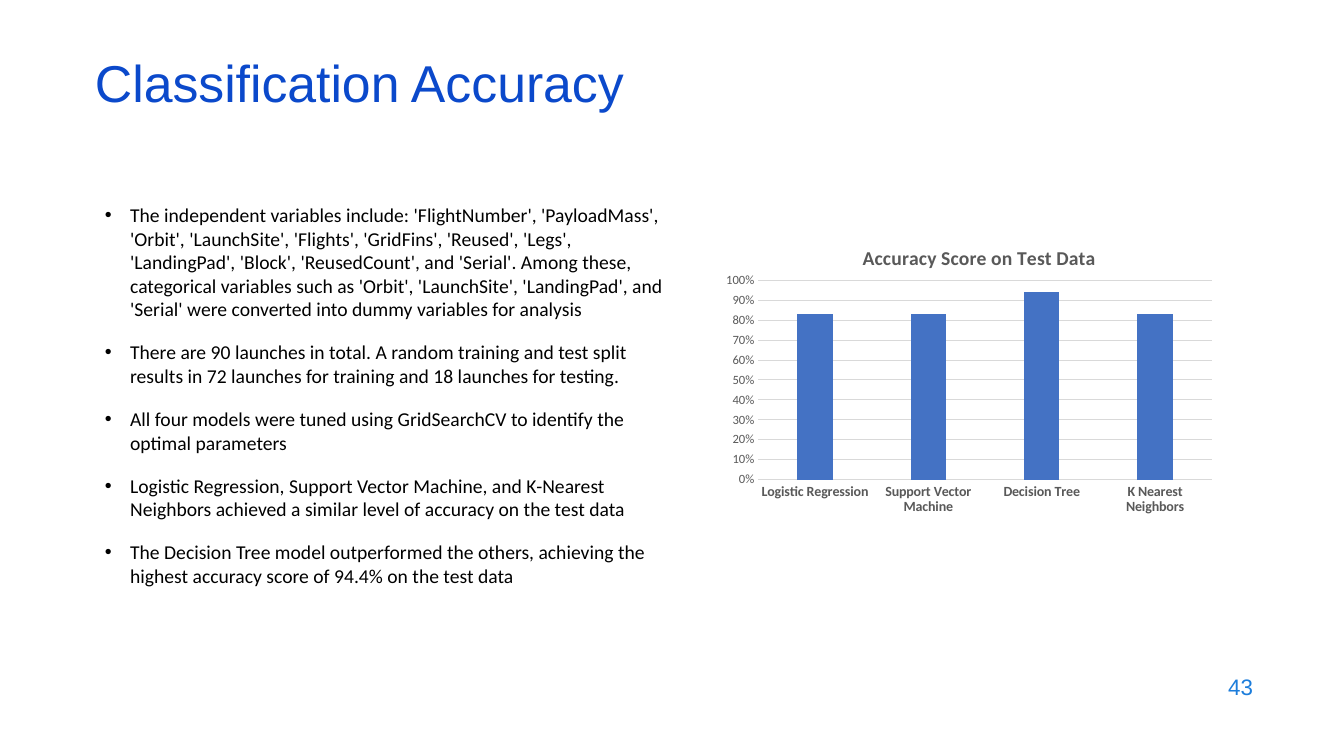
from lxml import etree
from pptx import Presentation
from pptx import util as u
from pptx.chart.data import CategoryChartData
from pptx.dml.color import RGBColor
from pptx.enum import chart as ch, text
from pptx.oxml import parse_xml
from pptx.oxml.ns import nsdecls, qn

# Content
TITLE = "Classification Accuracy"
PAGE = "43"
POINTS = [
    "The independent variables include: 'FlightNumber', 'PayloadMass', 'Orbit', 'LaunchSite', "
    "'Flights', 'GridFins', 'Reused', 'Legs', 'LandingPad', 'Block', 'ReusedCount', and 'Serial'. "
    "Among these, categorical variables such as 'Orbit', 'LaunchSite', 'LandingPad', and 'Serial' "
    "were converted into dummy variables for analysis",
    "There are 90 launches in total. A random training and test split results in 72 launches "
    "for training and 18 launches for testing.",
    "All four models were tuned using GridSearchCV to identify the optimal parameters",
    "Logistic Regression, Support Vector Machine, and K-Nearest Neighbors achieved a similar "
    "level of accuracy on the test data",
    "The Decision Tree model outperformed the others, achieving the highest accuracy score "
    "of 94.4% on the test data",
]
HEAD = "Accuracy Score on Test Data"
SCORES = {
    "Logistic Regression": 0.83,
    "Support Vector Machine": 0.83,
    "Decision Tree": 0.94,
    "K Nearest Neighbors": 0.83,
}
COLORS = {"title": "0B49CB", "page": "1C7DDB", "body": "000000",
          "label": "595959", "grid": "D9D9D9", "bar": "4472C4"}

# Boxes in px: left, top, width, height
BOXES = {"title": (85, 59, 1159, 61), "body": (95, 198, 587, 388),
         "chart": (718, 220, 504, 302), "page": (961, 664, 302, 45)}
PLOT = (760, 280, 452, 200)
HEAD_AT = (860, 241)


def px(n):
    return u.Emu(round(n * 914400 / 100.8))


def style(font, size, color, name="Calibri", bold=False):
    font.size, font.name, font.bold = u.Pt(size), name, bold
    font.color.rgb = RGBColor.from_string(COLORS[color])


def add_text(key, lines, size, name, anchor=text.MSO_ANCHOR.MIDDLE):
    frame = slide.shapes.add_textbox(*map(px, BOXES[key])).text_frame
    frame.word_wrap = True
    frame.vertical_anchor = anchor
    frame.text = "\n".join(lines)
    for para in frame.paragraphs:
        for run in para.runs:
            style(run.font, size, key, name)
    return frame.paragraphs


def layout(left, top, width=None, height=None):
    """Place a chart part as a share of the chart's own box."""
    x, y, w, h = BOXES["chart"]
    parts = [("xMode", "edge"), ("yMode", "edge"),
             ("x", round((left - x) / w, 2)), ("y", round((top - y) / h, 2))]
    if width:
        parts = [("layoutTarget", "inner"), *parts,
                 ("w", round(width / w, 2)), ("h", round(height / h, 2))]
    node = parse_xml(f"<c:layout {nsdecls('c')}><c:manualLayout/></c:layout>")
    for tag, val in parts:
        etree.SubElement(node[0], qn("c:" + tag)).set("val", str(val))
    return node


def put_layout(owner, node, spot):
    for old in owner.findall(qn("c:layout")):
        owner.remove(old)
    owner.insert(spot, node)


def grid_line(line):
    line.color.rgb = RGBColor.from_string(COLORS["grid"])
    line.width = u.Pt(0.75)


deck = Presentation()
deck.slide_width, deck.slide_height = px(1344), px(756)
slide = deck.slides.add_slide(deck.slide_layouts[6])

# Title and page number
add_text("title", [TITLE], 37, "Arial")[0].line_spacing = 0.7
add_text("page", [PAGE], 16, "Arial")[0].alignment = text.PP_ALIGN.RIGHT

# Bullet points
for i, para in enumerate(add_text("body", POINTS, 14, "Calibri", text.MSO_ANCHOR.TOP)):
    para.space_before = u.Pt(14 if i else 0)
    props = para._p.get_or_add_pPr()
    props.set("marL", str(u.Inches(0.25)))
    props.set("indent", str(-u.Inches(0.25)))
    props.append(parse_xml(f'<a:buFont {nsdecls("a")} typeface="Arial"/>'))
    props.append(parse_xml(f'<a:buChar {nsdecls("a")} char="•"/>'))

# Chart
data = CategoryChartData(number_format="0%")
data.categories = list(SCORES)
data.add_series("Series 1", list(SCORES.values()))
chart = slide.shapes.add_chart(
    ch.XL_CHART_TYPE.COLUMN_CLUSTERED, *map(px, BOXES["chart"]), data).chart
style(chart.font, 10, "body")
chart.has_legend = False
chart.has_title = True
chart.chart_title.text_frame.text = HEAD
style(chart.chart_title.text_frame.paragraphs[0].runs[0].font, 14, "label", bold=True)
chart.chart_title.include_in_layout = False
put_layout(chart.chart_title._element, layout(*HEAD_AT), 1)

# Bars
plot = chart.plots[0]
plot.gap_width, plot.overlap = 219, -27
plot.vary_by_categories = False
fill = plot.series[0].format.fill
fill.solid()
fill.fore_color.rgb = RGBColor.from_string(COLORS["bar"])
put_layout(plot._element.getparent(), layout(*PLOT), 0)

# Axes
names, marks = chart.category_axis, chart.value_axis
for axis, size, bold in ((names, 10, True), (marks, 9, False)):
    axis.major_tick_mark = axis.minor_tick_mark = ch.XL_TICK_MARK.NONE
    style(axis.tick_labels.font, size, "label", bold=bold)
grid_line(names.format.line)
marks.format.line.fill.background()
marks.has_major_gridlines = True
grid_line(marks.major_gridlines.format.line)
marks.minimum_scale, marks.maximum_scale, marks.major_unit = 0, 1, 0.1
marks.tick_labels.number_format = "0%"
marks.tick_labels.number_format_is_linked = False

deck.save("out.pptx")
